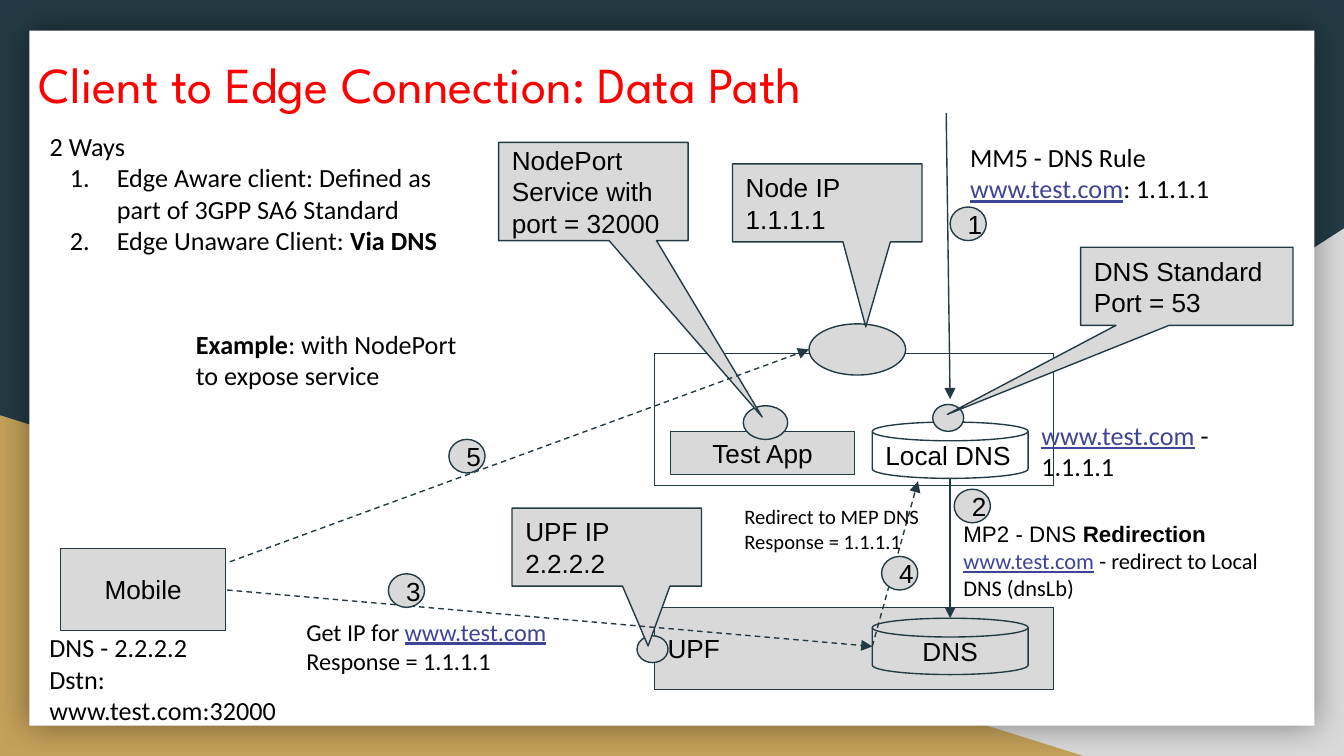
from dataclasses import dataclass
from typing import NamedTuple, Optional

from pptx import Presentation, util as u
from pptx.dml.color import RGBColor
from pptx.enum import dml, shapes, text
from pptx.oxml import parse_xml
from pptx.oxml.ns import nsdecls, qn
from pptx.oxml.xmlchemy import OxmlElement

COLORS = {
    "ink": "233A44", "gray": "D9D9D9", "gold": "C4A15A", "white": "FFFFFF",
    "title": "FF0000", "body": "000000", "link": "3D4594",
}
KIND = shapes.MSO_SHAPE
INSET = 7.2
BADGE_SIZE = (19.4, 18)


class Box(NamedTuple):
    left: float
    top: float
    width: float
    height: float

    def points(self) -> list:
        return [u.Pt(value) for value in self]


@dataclass
class Span:
    words: str
    bold: bool = False
    link: bool = False
    font: Optional[str] = None


@dataclass
class Node:
    kind: int
    box: Box
    label: str = ""
    fill: Optional[str] = "gray"
    centered: bool = False


@dataclass
class Callout:
    box: Box
    tip: tuple
    lines: list


@dataclass
class Arrow:
    start: tuple
    end: tuple
    dashed: bool = False


@dataclass
class Note:
    box: Box
    paragraphs: list
    size: float = 14
    font: str = "Calibri"


SITE = Span("www.test.com", link=True)

WAYS = [
    [Span("2 Ways")],
    [Span("Edge Aware client: Defined as part of 3GPP SA6 Standard")],
    [Span("Edge Unaware Client: "), Span("Via DNS", bold=True)],
]
NODES = [
    Node(KIND.RECTANGLE, Box(350.6, 189.4, 213.8, 70.6), fill=None),
    Node(KIND.FLOWCHART_MAGNETIC_DISK, Box(467.3, 226.1, 83.5, 30.2), "Local DNS", None),
    Node(KIND.RECTANGLE, Box(359.3, 231.1, 98.6, 23), "Test App", centered=True),
    Node(KIND.OVAL, Box(398.2, 217.4, 23.8, 18)),
    Node(KIND.OVAL, Box(433.4, 173.5, 51.8, 27.4)),
    Node(KIND.OVAL, Box(499.7, 216.7, 16.6, 14.4)),
    Node(KIND.RECTANGLE, Box(32.4, 293.8, 88.6, 43.9), "Mobile", centered=True),
    Node(KIND.RECTANGLE, Box(350.6, 325.4, 213.8, 43.9), "UPF"),
    Node(KIND.FLOWCHART_MAGNETIC_DISK, Box(467.3, 331.2, 83.5, 30.2), "DNS", None, True),
    Node(KIND.OVAL, Box(341.3, 340.6, 16.6, 14.4)),
]
CALLOUTS = [
    Callout(Box(392.4, 87.8, 101.5, 41.8), (463.8, 175.1), ["Node IP", "1.1.1.1"]),
    Callout(Box(267.1, 76.3, 101.5, 52.6), (408.3, 223.4),
            ["NodePort Service with port = 32000"]),
    Callout(Box(578.9, 132.5, 113.8, 41.8), (507.5, 222), ["DNS Standard Port = 53"]),
    Callout(Box(274.3, 272.2, 101.5, 41.8), (347.2, 346), ["UPF IP", "2.2.2.2"]),
]
ARROWS = [
    Arrow((506.9, 60.5), (509, 213.8)),
    Arrow((509, 256.3), (509, 331.2)),
    Arrow((121.7, 316.1), (467.3, 346.3), True),
    Arrow((467.3, 346.3), (491.8, 257.8), True),
    Arrow((123.1, 301), (433.4, 187.2), True),
]
NOTES = [
    Note(Box(550.8, 217.4, 148.3, 48.2), [[SITE, Span(" -")], [Span("1.1.1.1")]]),
    Note(Box(512.6, 68.4, 186.5, 48.2),
         [[Span("MM5 - DNS Rule")], [SITE, Span(": 1.1.1.1")]]),
    Note(Box(509, 271.4, 186.5, 58.3),
         [[Span("MP2 - DNS ", font="Arial"), Span("Redirection ", bold=True, font="Arial"),
           SITE, Span(" - redirect to Local DNS (dnsLb)")]], 12),
    Note(Box(19.4, 331.2, 145.4, 65.5),
         [[Span("DNS - 2.2.2.2")], [Span("Dstn: www.test.com:32000")]]),
    Note(Box(157, 323.3, 159.8, 46.1),
         [[Span("Get IP for "), SITE], [Span("Response = 1.1.1.1")]], 13),
    Note(Box(391.7, 262.8, 108.7, 41),
         [[Span("Redirect to MEP DNS")], [Span("Response = 1.1.1.1")]], 11),
    Note(Box(97.9, 168.5, 155.5, 48.2),
         [[Span("Example", bold=True), Span(": with NodePort to expose service")]]),
]
BADGES = {"3": (208.1, 307.4), "4": (472.3, 298.1), "5": (240.5, 235.4),
          "1": (509, 110.9), "2": (511.2, 262.1)}


def color(name: str) -> RGBColor:
    return RGBColor.from_string(COLORS[name])


def write(shape, paragraphs: list, size: float, font: str, tint: str = "body",
          anchor=text.MSO_ANCHOR.TOP, align=text.PP_ALIGN.LEFT) -> None:
    frame = shape.text_frame
    frame.word_wrap = True
    frame.auto_size = text.MSO_AUTO_SIZE.NONE
    frame.vertical_anchor = anchor
    frame.margin_left = frame.margin_right = u.Pt(INSET)
    frame.margin_top = frame.margin_bottom = u.Pt(INSET)
    for index, spans in enumerate(paragraphs):
        para = frame.add_paragraph() if index else frame.paragraphs[0]
        para.alignment = align
        para.space_before = u.Pt(0)
        for span in spans:
            run = para.add_run()
            run.text = span.words
            run.font.size = u.Pt(size)
            run.font.name = span.font or font
            run.font.bold = span.bold
            run.font.underline = span.link
            run.font.color.rgb = color("link" if span.link else tint)


def add_figure(page, kind, box: Box, fill: Optional[str], outlined: bool = True):
    shape = page.shapes.add_shape(kind, *box.points())
    shape.shadow.inherit = False
    if fill:
        shape.fill.solid()
        shape.fill.fore_color.rgb = color(fill)
    else:
        shape.fill.background()
    if outlined:
        shape.line.color.rgb = color("ink")
        shape.line.width = u.Pt(0.75)
    else:
        shape.line.fill.background()
    return shape


def add_node(page, node: Node) -> None:
    shape = add_figure(page, node.kind, node.box, node.fill)
    if node.label:
        align = text.PP_ALIGN.CENTER if node.centered else text.PP_ALIGN.LEFT
        write(shape, [[Span(node.label)]], 14, "Arial",
              anchor=text.MSO_ANCHOR.MIDDLE, align=align)


def add_callout(page, callout: Callout) -> None:
    box, (x, y) = callout.box, callout.tip
    shape = add_figure(page, KIND.RECTANGULAR_CALLOUT, box, "gray")
    shape.adjustments[0] = (x - box.left) / box.width - 0.5
    shape.adjustments[1] = (y - box.top) / box.height - 0.5
    write(shape, [[Span(line)] for line in callout.lines], 14, "Arial",
          anchor=text.MSO_ANCHOR.MIDDLE)


def add_arrow(page, arrow: Arrow) -> None:
    ends = [u.Pt(value) for value in (*arrow.start, *arrow.end)]
    connector = page.shapes.add_connector(shapes.MSO_CONNECTOR.STRAIGHT, *ends)
    connector.line.color.rgb = color("ink")
    connector.line.width = u.Pt(0.75)
    if arrow.dashed:
        connector.line.dash_style = dml.MSO_LINE.DASH
    tail = OxmlElement("a:tailEnd")
    tail.set("type", "triangle")
    connector.line._get_or_add_ln().append(tail)
    connector._element.spPr.append(OxmlElement("a:effectLst"))


def add_note(page, note: Note) -> None:
    write(page.shapes.add_textbox(*note.box.points()), note.paragraphs, note.size, note.font)


def add_backdrop(page) -> None:
    page.background.fill.solid()
    page.background.fill.fore_color.rgb = color("ink")
    corner = add_figure(page, KIND.RIGHT_TRIANGLE, Box(282.2, 122.4, 437.8, 282.6), "gray", False)
    corner._element.spPr.find(qn("a:xfrm")).set("flipH", "1")
    add_figure(page, KIND.RIGHT_TRIANGLE, Box(0, 222.5, 580.3, 182.5), "gold", False)
    panel = add_figure(page, KIND.RECTANGLE, Box(15.8, 16.4, 688.4, 372.4), "white", False)
    panel._element.spPr.find(qn("a:effectLst")).append(parse_xml(
        f'<a:outerShdw {nsdecls("a")} blurRad="{u.Pt(18)}" dist="0" dir="0" rotWithShape="0">'
        '<a:srgbClr val="000000"><a:alpha val="40000"/></a:srgbClr></a:outerShdw>'))


def place(page, holder, box: Box) -> None:
    """Move a placeholder to its box and in front of the backdrop."""
    holder.left, holder.top, holder.width, holder.height = box.points()
    page.shapes._spTree.append(holder._element)


def number_items(paragraphs) -> None:
    """Leave the first paragraph plain and number the others."""
    for index, para in enumerate(paragraphs):
        props = para._p.get_or_add_pPr()
        props.set("marL", str(u.Pt(36) if index else 0))
        props.set("indent", str(u.Pt(-25.2) if index else 0))
        bullet = OxmlElement("a:buAutoNum" if index else "a:buNone")
        if index:
            bullet.set("type", "arabicPeriod")
        props.append(bullet)


def main() -> None:
    deck = Presentation()
    deck.slide_width, deck.slide_height = u.Pt(720), u.Pt(405)
    page = deck.slides.add_slide(deck.slide_layouts[1])
    add_backdrop(page)
    title, ways = page.shapes.title, page.placeholders[1]
    place(page, title, Box(13.7, 19.4, 591.1, 50.4))
    write(title, [[Span("Client to Edge Connection: Data Path")]], 27, "League Spartan",
          "title", text.MSO_ANCHOR.MIDDLE)
    place(page, ways, Box(19.4, 62.6, 226.1, 82.1))
    write(ways, WAYS, 14, "Calibri")
    number_items(ways.text_frame.paragraphs)
    for node in NODES:
        add_node(page, node)
    for callout in CALLOUTS:
        add_callout(page, callout)
    for arrow in ARROWS:
        add_arrow(page, arrow)
    for note in NOTES:
        add_note(page, note)
    for label, corner in BADGES.items():
        add_node(page, Node(KIND.OVAL, Box(*corner, *BADGE_SIZE), label))
    deck.save("out.pptx")


if __name__ == "__main__":
    main()
